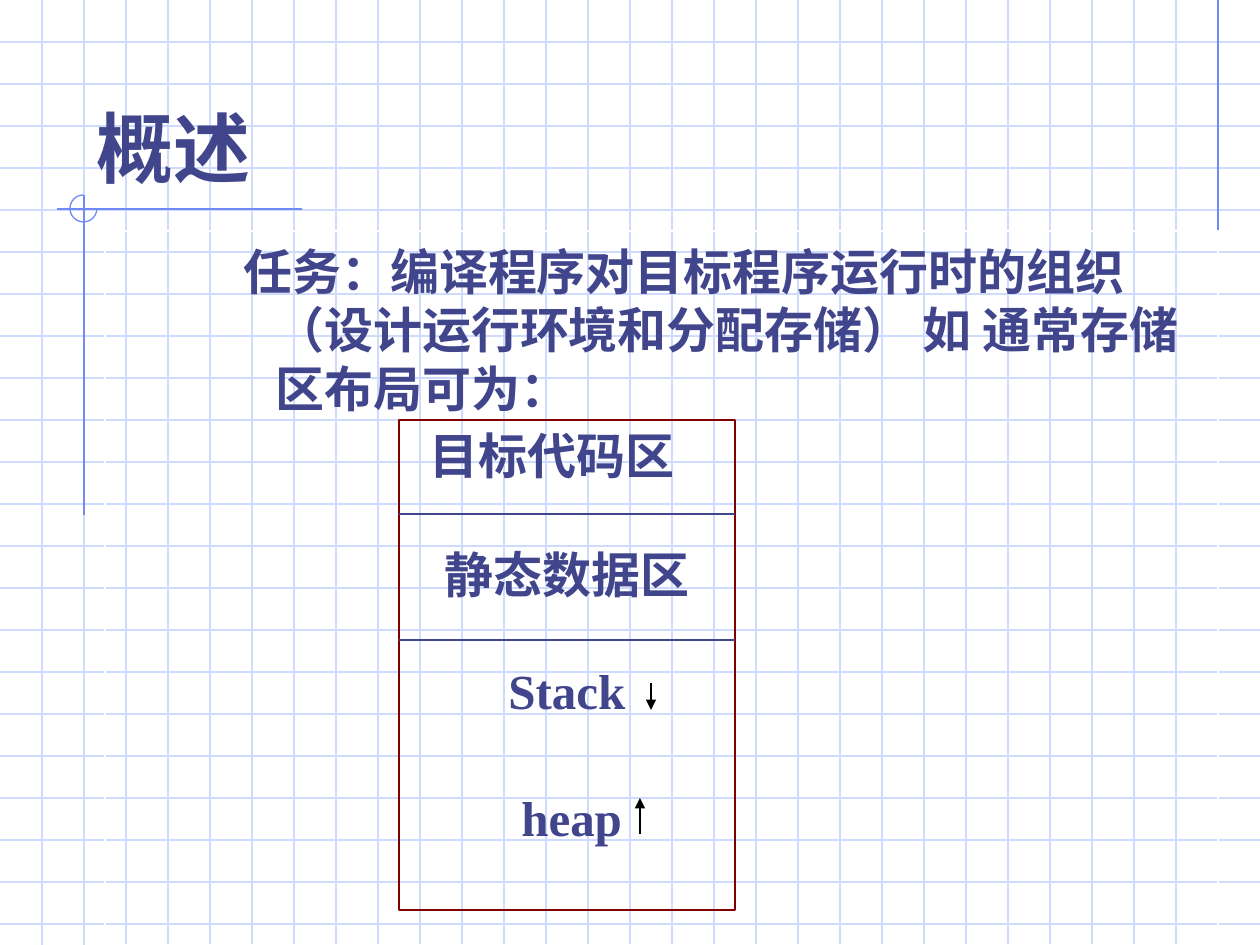
import pptx
import pptx.dml.color
import pptx.enum.shapes
import pptx.enum.text
import pptx.oxml
import pptx.oxml.ns
import pptx.util

WIDTH, HEIGHT, GRID = 1260, 945, 42
INK, PALE, ACCENT = "40458C", "CFDBFD", "6F89F7"

TITLE = "概述"
TASK = "任务：编译程序对目标程序运行时的组织（设计运行环境和分配存储） 如 通常存储区布局可为："
# text, left indent px, space before pt
REGIONS = [("目标代码区", 18, 0), ("静态数据区", 33, 34), ("Stack", 97, 33), ("heap", 110, 39)]
MEMORY = (399, 420, 336, 490)
DIVIDERS = [514, 640]
GROWTH = [(651, 683, 651, 710), (640, 834, 640, 798)]
ORNAMENTS = [(1218, 0, 1218, 325), (302, 209, 57, 209), (84, 195, 84, 515)]
ORNAMENTS[0] = (1218, 0, 1218, 230)


def px(n):
    return pptx.util.Emu(round(n * 914400 / 126))


def rgb(color):
    return pptx.dml.color.RGBColor.from_string(color)


def add_line(ends, color, arrow=False):
    line = slide.shapes.add_connector(pptx.enum.shapes.MSO_CONNECTOR.STRAIGHT, *map(px, ends))
    line.line.color.rgb = rgb(color)
    line.line.width = pptx.util.Pt(0.75)
    if arrow:
        head = pptx.oxml.parse_xml(f'<a:tailEnd {pptx.oxml.ns.nsdecls("a")} type="triangle"/>')
        line.line._get_or_add_ln().append(head)
    effects = pptx.oxml.parse_xml(f'<a:effectLst {pptx.oxml.ns.nsdecls("a")}/>')
    line._element.spPr.append(effects)


def add_outline(kind, place, color):
    outline = slide.shapes.add_shape(kind, *map(px, place))
    outline.shadow.inherit = False
    outline.fill.background()
    outline.line.color.rgb = rgb(color)
    outline.line.width = pptx.util.Pt(0.75)
    return outline


def prepare(frame, anchor, top=6):
    frame.word_wrap = True
    frame.vertical_anchor = anchor
    frame.margin_top = px(top)


def write(paragraph, text, size, font, left=0, indent=0, before=0):
    paragraph.text = text
    paragraph.alignment = pptx.enum.text.PP_ALIGN.LEFT
    paragraph.space_before = pptx.util.Pt(before)
    margins = paragraph._p.get_or_add_pPr()
    margins.set("marL", str(px(left)))
    margins.set("indent", str(px(indent)))
    paragraph.font.size = pptx.util.Pt(size)
    paragraph.font.name = font
    paragraph.font.bold = True
    paragraph.font.color.rgb = rgb(INK)


SHAPE = pptx.enum.shapes.MSO_SHAPE
ANCHOR = pptx.enum.text.MSO_ANCHOR

deck = pptx.Presentation()
deck.slide_width, deck.slide_height = px(WIDTH), px(HEIGHT)
slide = deck.slides.add_slide(deck.slide_layouts[6])

for y in range(GRID, HEIGHT, GRID):
    add_line((0, y, WIDTH, y), PALE)
for x in range(GRID, WIDTH, GRID):
    add_line((x, 0, x, HEIGHT), PALE)
for ends in ORNAMENTS:
    add_line(ends, ACCENT)
corner_arc = add_outline(SHAPE.ARC, (70, 195, 27, 27), ACCENT)
corner_arc.adjustments[0] = 0
corner_arc.adjustments[1] = 162

title = slide.shapes.add_textbox(*map(px, (84, 42, 1071, 157))).text_frame
prepare(title, ANCHOR.BOTTOM)
write(title.paragraphs[0], TITLE, 44, "Cabin")

task = add_outline(SHAPE.RECTANGLE, (105, 231, 1113, 714), "FFFFFF").text_frame
prepare(task, ANCHOR.TOP, 10)
write(task.paragraphs[0], TASK, 28, "Cabin", 158, -32)

memory = add_outline(SHAPE.RECTANGLE, MEMORY, "800000").text_frame
prepare(memory, ANCHOR.TOP)
for i, (region, left, before) in enumerate(REGIONS):
    paragraph = memory.add_paragraph() if i else memory.paragraphs[0]
    write(paragraph, region, 28, "Times New Roman", left, 0, before)

for ends in GROWTH:
    add_line(ends, "000000", arrow=True)
for y in DIVIDERS:
    add_line((MEMORY[0], y, MEMORY[0] + MEMORY[2], y), INK)

deck.save("out.pptx")
